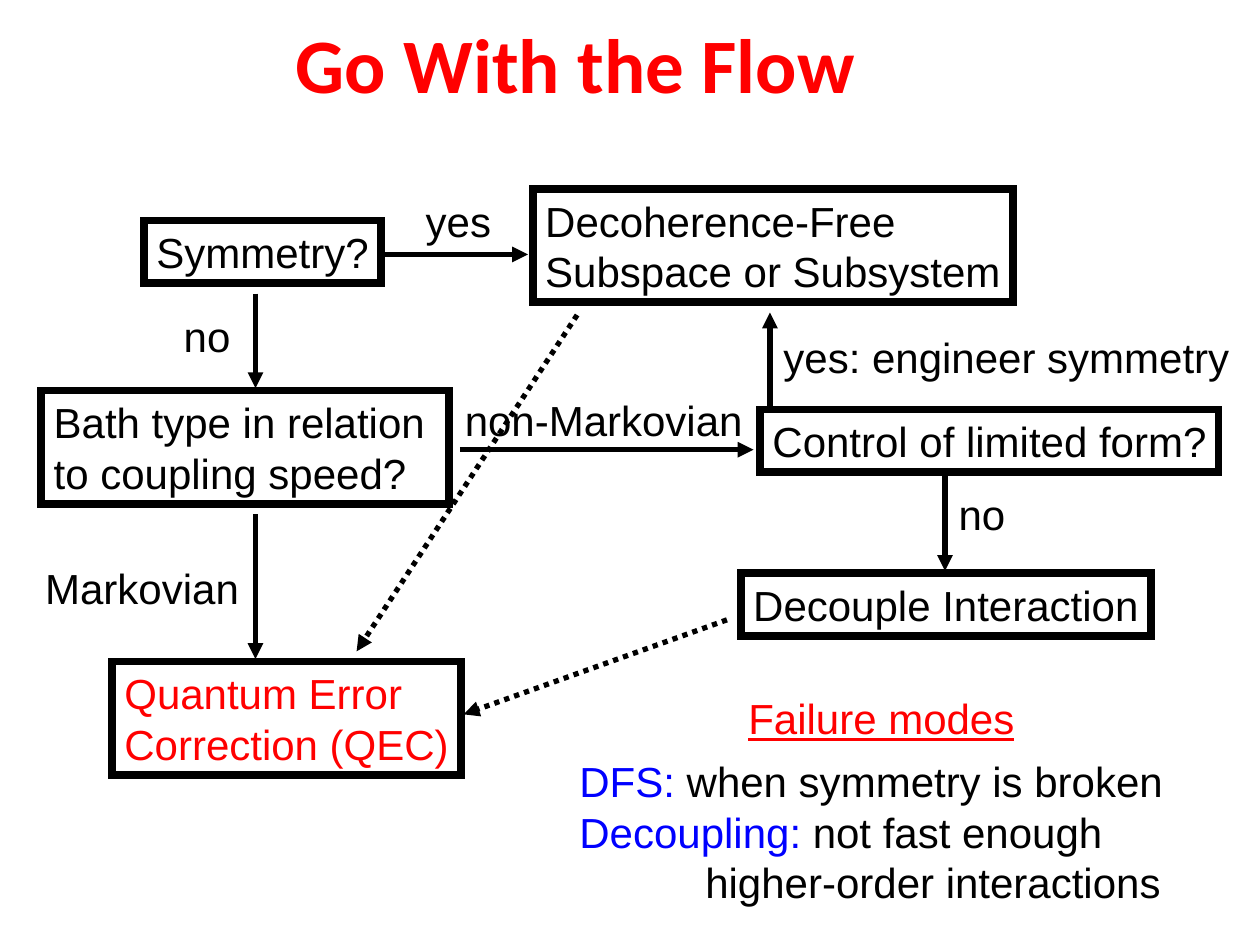
from lxml import etree
from pptx import Presentation
from pptx.dml.color import RGBColor
from pptx.enum import dml, shapes, text
from pptx.oxml.ns import qn
from pptx.util import Pt

BLACK, RED, BLUE = "000000", "FF0000", "0000FF"
LINE, DOUBLE = 36, 64.8

NODES = [
    (64.3, 18, 135.5, LINE, ["Symmetry?"], BLACK),
    (286.5, 0, 274.5, DOUBLE, ["Decoherence-Free", "Subspace or Subsystem"], BLACK),
    (5.6, 115.2, 233, DOUBLE, ["Bath type in relation", "to coupling speed?"], BLACK),
    (416.3, 126, 262, LINE, ["Control of limited form?"], BLACK),
    (405.3, 219.6, 234.5, LINE, ["Decouple Interaction"], BLACK),
    (46, 270, 199.5, DOUBLE, ["Quantum Error", "Correction (QEC)"], RED),
]
ARROWS = [
    ((202.3, 37.4), (283.7, 37.4), False),
    ((128, 59.8), (128, 113.8), False),
    ((244.8, 149), (412.6, 149), False),
    ((128, 185.8), (128, 268.6), False),
    ((422, 124.6), (422, 70.6), False),
    ((522, 164.2), (522, 218.2), False),
    ((311.8, 72), (185.8, 264.2), True),
    ((397.4, 246.2), (247, 300.2), True),
]
LABELS = [
    (218.2, 0, 52, "yes"),
    (79.9, 66.2, 41, "no"),
    (240.5, 113.8, 173, "non-Markovian"),
    (0.7, 210.2, 125, "Markovian"),
    (422.6, 77.8, 269, "yes: engineer symmetry"),
    (522.7, 167.8, 41, "no"),
]
FAILURES = [
    [("DFS:", BLUE), (" when symmetry is broken", BLACK)],
    [("Decoupling:", BLUE), (" not fast enough", BLACK)],
    [("\thigher-order interactions", BLACK)],
]


def color(value):
    """Turn a hex string into a colour."""
    return RGBColor.from_string(value)


def write(box, lines, size=24, font="Arial", wrap=False):
    """Fill a box with lines, each a list of (words, colour) spans."""
    frame = box.text_frame
    frame.word_wrap = wrap
    frame.auto_size = text.MSO_AUTO_SIZE.SHAPE_TO_FIT_TEXT
    frame.vertical_anchor = text.MSO_ANCHOR.TOP
    for index, spans in enumerate(lines):
        para = frame.paragraphs[0] if index == 0 else frame.add_paragraph()
        para.alignment = text.PP_ALIGN.LEFT
        if spans[0][0].startswith("\t"):
            tabs = etree.SubElement(para._p.get_or_add_pPr(), qn("a:tabLst"))
            etree.SubElement(tabs, qn("a:tab"), pos=str(Pt(72)), algn="l")
        para.font.size = Pt(size)
        para.font.name = font
        for words, shade in spans:
            span = para.add_run()
            span.text = words
            span.font.color.rgb = color(shade)


def add_text(page, left, top, width, height, lines, **style):
    """Add a text box and return it."""
    box = page.shapes.add_textbox(Pt(left), Pt(top), Pt(width), Pt(height))
    write(box, lines, **style)
    return box


def add_node(page, left, top, width, height, lines, shade):
    """Add an outlined flowchart box with spare room right of its text."""
    box = page.shapes.add_shape(
        shapes.MSO_SHAPE.RECTANGLE, Pt(left), Pt(top), Pt(width), Pt(height))
    box.shadow.inherit = False
    box.fill.background()
    box.line.color.rgb = color(BLACK)
    box.line.width = Pt(4.5)
    etree.SubElement(box.line._get_or_add_ln(), qn("a:miter"), lim="800000")
    write(box, [[(line, shade)] for line in lines])
    box.text_frame.margin_right = Pt(0)


def add_arrow(page, start, end, dotted):
    """Add a straight arrow between two points."""
    arrow = page.shapes.add_connector(
        shapes.MSO_CONNECTOR.STRAIGHT, *(Pt(value) for value in start + end))
    arrow.line.color.rgb = color(BLACK)
    arrow.line.width = Pt(3)
    if dotted:
        arrow.line.dash_style = dml.MSO_LINE.ROUND_DOT
        arrow.line._get_or_add_ln().find(qn("a:prstDash")).set("val", "sysDot")
    etree.SubElement(arrow.line._get_or_add_ln(), qn("a:tailEnd"), type="triangle")
    etree.SubElement(arrow._element.spPr, qn("a:effectLst"))


def add_title(page, left, top, width, height):
    """Place the slide title."""
    box = add_text(page, left, top, width, height,
                   [[("Go With the Flow", RED)]], size=44, font="Calibri")
    box.text_frame.paragraphs[0].font.bold = True


def add_flowchart(page, left, top):
    """Place the boxes, arrows and labels of the decision flow."""
    for x, y, *rest in NODES:
        add_node(page, left + x, top + y, *rest)
    for start, end, dotted in ARROWS:
        start, end = [(left + x, top + y) for x, y in (start, end)]
        add_arrow(page, start, end, dotted)
    for x, y, width, words in LABELS:
        add_text(page, left + x, top + y, width, LINE, [[(words, BLACK)]])


def add_failure_modes(page, left, top, width):
    """Place the failure modes heading and its list."""
    add_text(page, left, top + LINE, width, 93.6, FAILURES, wrap=True)
    heading = add_text(page, left + 96.5, top, 166.3, LINE, [[("Failure modes", RED)]])
    heading.text_frame.paragraphs[0].font.underline = True


def main():
    """Build and save the deck."""
    deck = Presentation()
    deck.slide_width, deck.slide_height = Pt(720), Pt(540)
    page = deck.slides.add_slide(deck.slide_layouts[6])
    add_title(page, 162, 6, 399, 60.5)
    add_flowchart(page, 18, 108)
    add_failure_modes(page, 324, 392.4, 360)
    deck.save("out.pptx")


if __name__ == "__main__":
    main()
